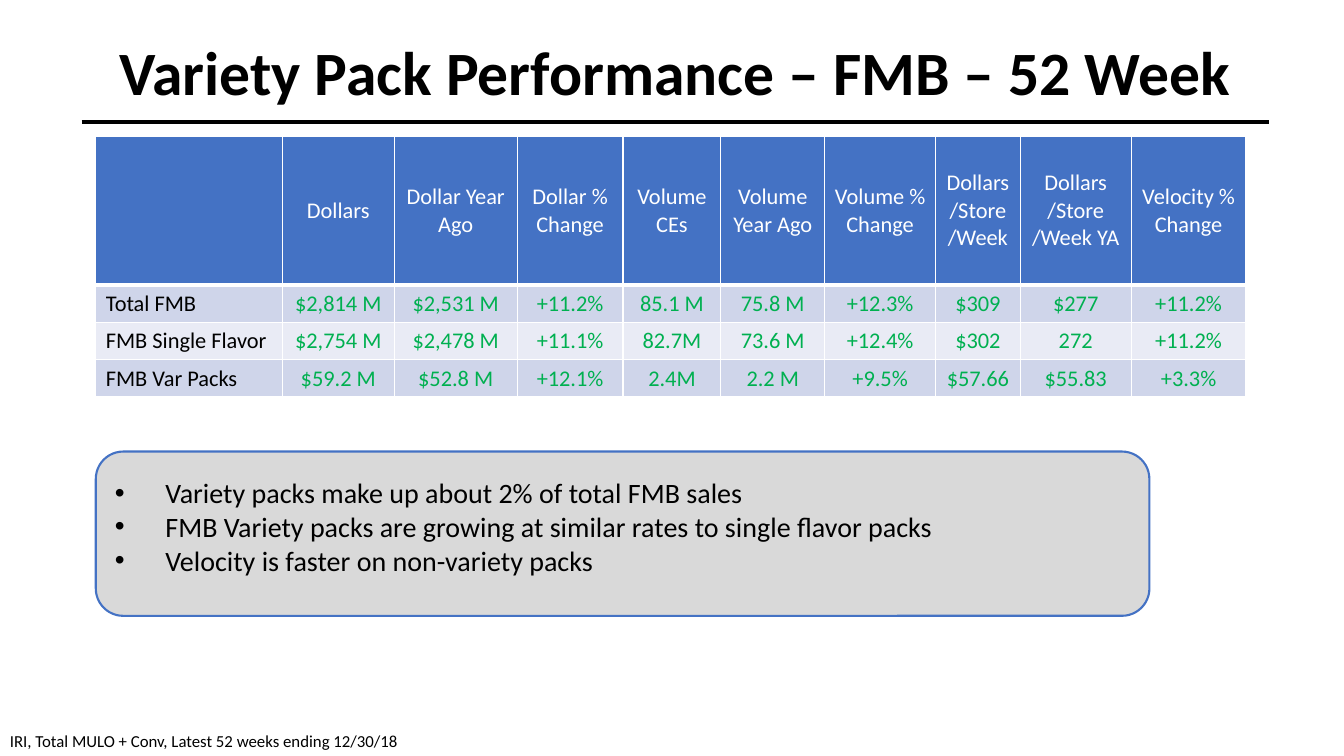
from lxml.etree import SubElement
from pptx import Presentation
from pptx.dml.color import RGBColor
from pptx.enum.shapes import MSO_CONNECTOR, MSO_SHAPE
from pptx.enum.text import MSO_ANCHOR, PP_ALIGN
from pptx.oxml.ns import qn
from pptx.util import Inches, Pt

BLACK = RGBColor(0x00, 0x00, 0x00)
WHITE = RGBColor(0xFF, 0xFF, 0xFF)
BLUE = RGBColor(0x44, 0x72, 0xC4)
GREEN = RGBColor(0x00, 0xB0, 0x50)
GRAY = RGBColor(0xD9, 0xD9, 0xD9)
BANDS = [RGBColor(0xCF, 0xD5, 0xEA), RGBColor(0xE9, 0xEB, 0xF5)]

TITLE = "Variety Pack Performance – FMB – 52 Week"
SOURCE = "IRI, Total MULO + Conv, Latest 52 weeks ending 12/30/18"
TAKEAWAYS = [
    "Variety packs make up about 2% of total FMB sales",
    "FMB Variety packs are growing at similar rates to single flavor packs",
    "Velocity is faster on non-variety packs",
]
COLUMNS = [  # heading, width in inches
    ("", 1.85), ("Dollars", 1.11), ("Dollar Year Ago", 1.22),
    ("Dollar % Change", 1.05), ("Volume CEs", 0.97),
    ("Volume Year Ago", 1.03), ("Volume % Change", 1.1),
    ("Dollars /Store /Week", 0.84), ("Dollars /Store /Week YA", 1.1),
    ("Velocity % Change", 1.14),
]
SEGMENTS = [
    ("Total FMB", "$2,814 M", "$2,531 M", "+11.2%", "85.1 M",
     "75.8 M", "+12.3%", "$309", "$277", "+11.2%"),
    ("FMB Single Flavor", "$2,754 M", "$2,478 M", "+11.1%", "82.7M",
     "73.6 M", "+12.4%", "$302", "272", "+11.2%"),
    ("FMB Var Packs", "$59.2 M", "$52.8 M", "+12.1%", "2.4M",
     "2.2 M", "+9.5%", "$57.66", "$55.83", "+3.3%"),
]
HEADER_HEIGHT, SEGMENT_HEIGHT = 1.48, 0.37
LEFT = 0.95


def write(frame, lines, size, color=BLACK, bold=False,
          align=PP_ALIGN.LEFT, bullet=None):
    frame.word_wrap = True
    for index, line in enumerate(lines):
        paragraph = frame.add_paragraph() if index else frame.paragraphs[0]
        paragraph.alignment = align
        if bullet:
            properties = paragraph._p.get_or_add_pPr()
            properties.set("marL", str(Inches(0.5)))
            properties.set("indent", str(-Inches(0.5)))
            SubElement(properties, qn("a:buFont"), typeface="Arial")
            SubElement(properties, qn("a:buChar"), char=bullet)
        run = paragraph.add_run()
        run.text = line
        font = run.font
        font.name, font.size, font.bold = "Calibri", Pt(size), bold
        font.color.rgb = color


def add_text(slide, box, lines, **style):
    textbox = slide.shapes.add_textbox(*map(Inches, box))
    write(textbox.text_frame, lines, **style)


def add_panel(slide, box):
    panel = slide.shapes.add_shape(MSO_SHAPE.ROUNDED_RECTANGLE, *map(Inches, box))
    panel.shadow.inherit = False
    return panel


def outline_cell(cell, bottom):
    properties = cell._tc.get_or_add_tcPr()
    for side, width in (("L", 1), ("R", 1), ("T", 1), ("B", bottom)):
        edge = SubElement(properties, qn(f"a:ln{side}"), w=str(Pt(width)))
        fill = SubElement(edge, qn("a:solidFill"))
        SubElement(fill, qn("a:srgbClr"), val=str(WHITE))


def add_performance_table(slide):
    headings, widths = zip(*COLUMNS)
    rows = [headings, *SEGMENTS]
    heights = [HEADER_HEIGHT] + [SEGMENT_HEIGHT] * len(SEGMENTS)
    table = slide.shapes.add_table(
        len(rows), len(widths), Inches(LEFT), Inches(1.35),
        Inches(sum(widths)), Inches(sum(heights))).table
    for column, width in zip(table.columns, widths):
        column.width = Inches(width)
    for r, (values, height) in enumerate(zip(rows, heights)):
        table.rows[r].height = Inches(height)
        for c, value in enumerate(values):
            cell = table.cell(r, c)
            outline_cell(cell, bottom=1 if r else 3)
            cell.fill.solid()
            cell.fill.fore_color.rgb = BANDS[(r - 1) % 2] if r else BLUE
            cell.vertical_anchor = MSO_ANCHOR.TOP if r else MSO_ANCHOR.MIDDLE
            if value:
                color = WHITE if r == 0 else GREEN if c else BLACK
                write(cell.text_frame, [value], 16, color,
                      align=PP_ALIGN.CENTER if c else PP_ALIGN.LEFT)


def add_takeaways(slide):
    panel = add_panel(slide, (LEFT, 4.48, 10.45, 1.63))
    panel.fill.solid()
    panel.fill.fore_color.rgb = GRAY
    panel.line.color.rgb = BLUE
    panel.line.width = Pt(1.5)
    notes = add_panel(slide, (LEFT, 4.58, 10.32, 1.89))
    notes.fill.background()
    notes.line.fill.background()
    notes.text_frame.vertical_anchor = MSO_ANCHOR.TOP
    write(notes.text_frame, TAKEAWAYS, 20, bullet="•")


def add_title_rule(slide):
    rule = slide.shapes.add_connector(
        MSO_CONNECTOR.STRAIGHT, *map(Inches, (0.81, 1.21, 12.59, 1.21)))
    rule.line.color.rgb = BLACK
    rule.line.width = Pt(2.25)
    SubElement(rule._element.spPr, qn("a:effectLst"))


def main():
    deck = Presentation()
    deck.slide_width, deck.slide_height = Inches(13.33), Inches(7.5)
    slide = deck.slides.add_slide(deck.slide_layouts[6])
    add_takeaways(slide)
    add_text(slide, (0, 7.2, 6.86, 0.3), [SOURCE], size=12)
    add_performance_table(slide)
    add_text(slide, (0.15, 0.29, 13.1, 0.84), [TITLE], size=44, bold=True,
             align=PP_ALIGN.CENTER)
    add_title_rule(slide)
    deck.save("out.pptx")


if __name__ == "__main__":
    main()
